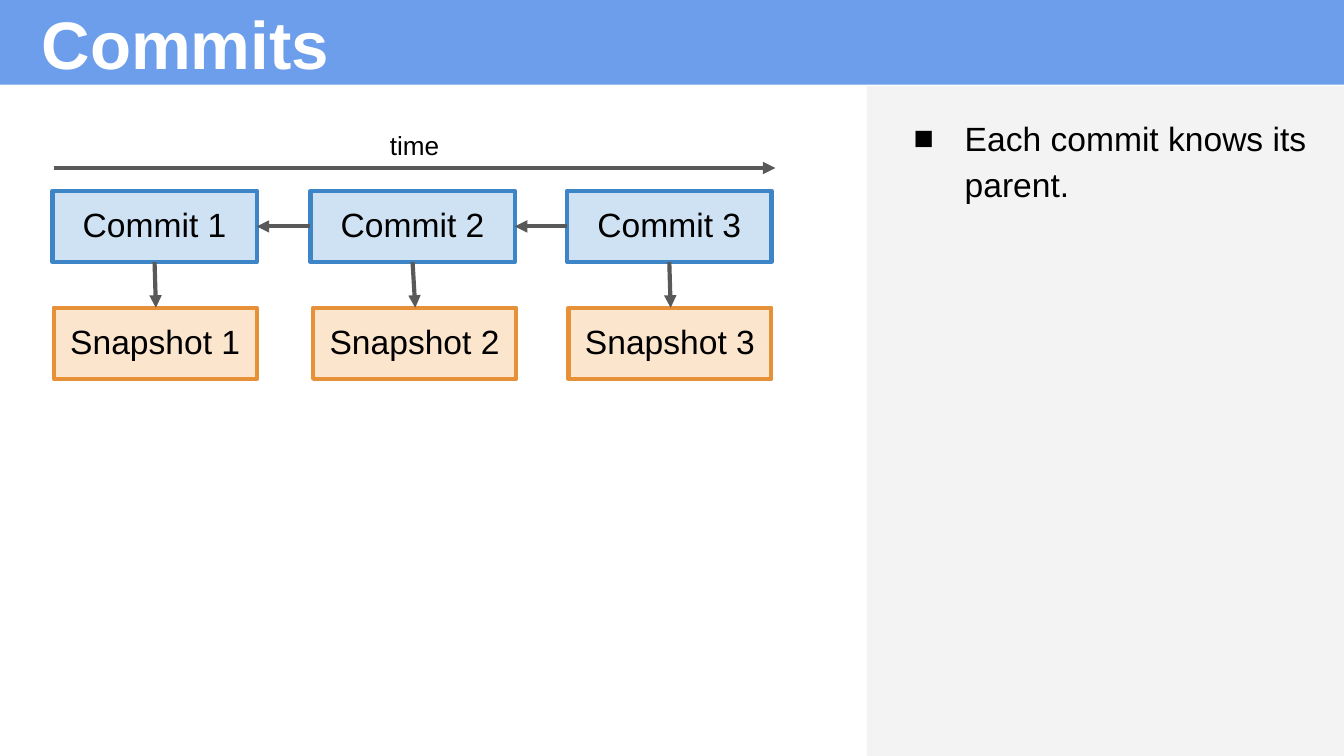
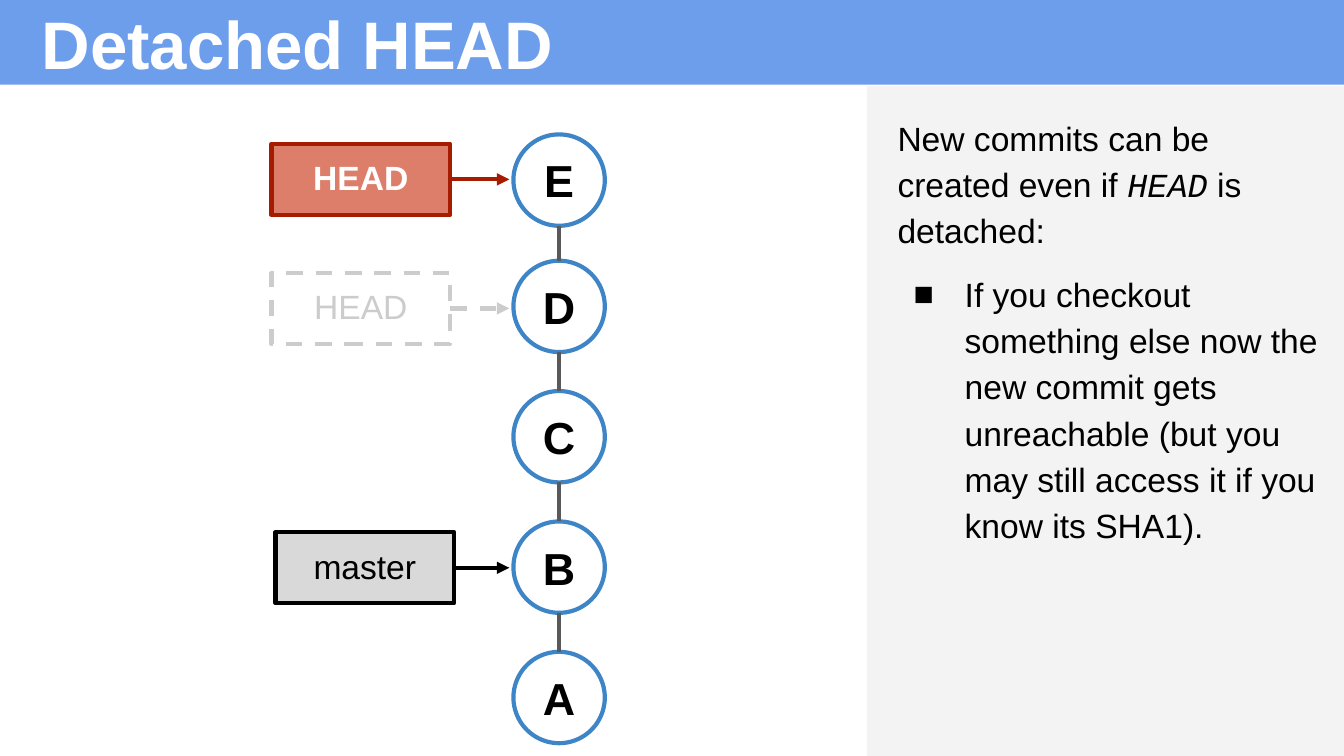
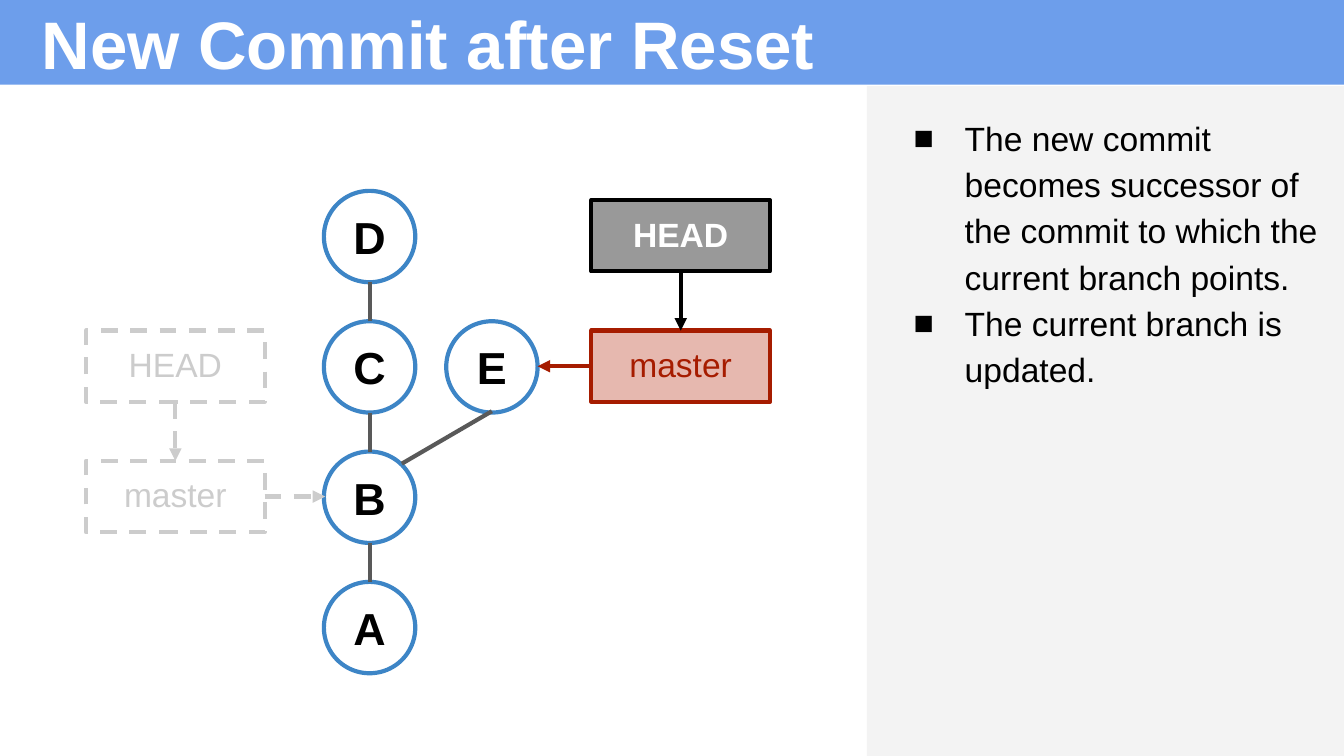
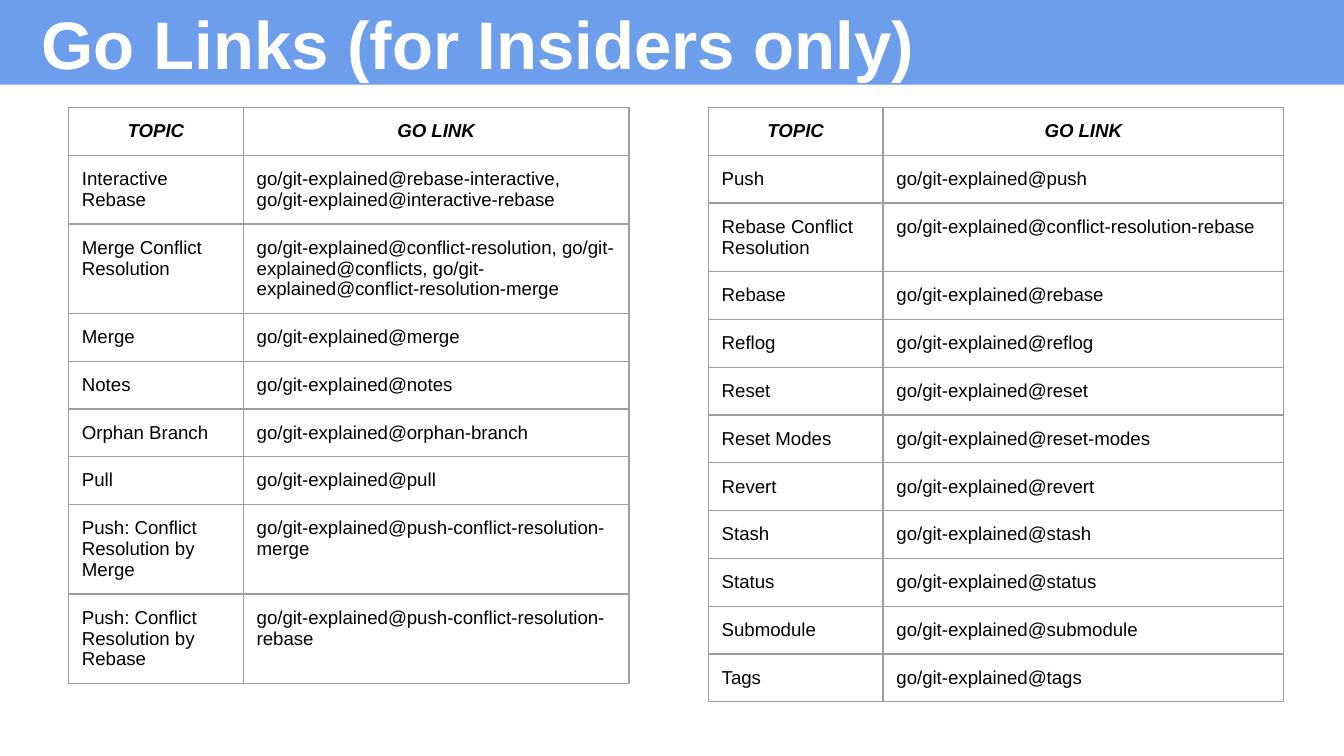
from lxml import etree
from pptx import Presentation
from pptx.dml.color import RGBColor
from pptx.enum import dml, shapes, text
from pptx.oxml import ns
from pptx.util import Inches, Pt

COLORS = {
    "band": "6D9EEB", "panel": "F3F3F3", "white": "FFFFFF", "black": "000000",
    "commit": "CFE2F3", "commit_edge": "3D85C6",
    "snapshot": "FCE5CD", "snapshot_edge": "E69138",
    "link": "595959", "ghost": "CCCCCC", "red": "A61C00",
    "red_fill": "DD7E6B", "pink": "E6B8AF", "gray": "999999",
    "light_gray": "D9D9D9", "grid": "9E9E9E",
}
# Looks of label boxes: fill, edge, text colour, bold, dashed
STYLES = {
    "commit": ("commit", "commit_edge", "black", False, False),
    "snapshot": ("snapshot", "snapshot_edge", "black", False, False),
    "branch": ("light_gray", "black", "black", False, False),
    "new_branch": ("pink", "red", "red", False, False),
    "head": ("gray", "black", "white", True, False),
    "new_head": ("red_fill", "red", "white", True, False),
    "ghost": (None, "ghost", "ghost", False, True),
}
FONT = "Arial"
CODE_FONT = "Courier New"
EDGE = 2.25
PAGE_WIDTH = 10
PAGE_HEIGHT = PAGE_WIDTH * 9 / 16
BOX_HEIGHT = 0.53
LABEL_WIDTH = 1.33
CIRCLE = 0.68
PITCH = 0.97

HEADINGS = ("TOPIC", "GO LINK")
LINK_PREFIX = "go/git-explained@"
LEFT_LINKS = [
    ("Interactive Rebase", "rebase-interactive", "interactive-rebase"),
    ("Merge Conflict Resolution", "conflict-resolution", "conflicts",
     "conflict-resolution-merge"),
    ("Merge", "merge"),
    ("Notes", "notes"),
    ("Orphan Branch", "orphan-branch"),
    ("Pull", "pull"),
    ("Push: Conflict Resolution by Merge", "push-conflict-resolution-merge"),
    ("Push: Conflict Resolution by Rebase", "push-conflict-resolution-rebase"),
]
RIGHT_LINKS = [
    ("Push", "push"),
    ("Rebase Conflict Resolution", "conflict-resolution-rebase"),
    ("Rebase", "rebase"),
    ("Reflog", "reflog"),
    ("Reset", "reset"),
    ("Reset Modes", "reset-modes"),
    ("Revert", "revert"),
    ("Stash", "stash"),
    ("Status", "status"),
    ("Submodule", "submodule"),
    ("Tags", "tags"),
]


def rgb(name):
    return RGBColor.from_string(COLORS[name])


def add_span(para, words, size, color="black", **formats):
    span = para.add_run()
    span.text = words
    span.font.color.rgb = rgb(color)
    values = {"name": FONT, "size": Pt(size), "bold": False, "italic": False}
    for key, value in {**values, **formats}.items():
        setattr(span.font, key, value)


def set_frame(frame, anchor):
    values = {"word_wrap": True, "auto_size": text.MSO_AUTO_SIZE.NONE,
              "vertical_anchor": anchor}
    for side in ("left", "top", "right", "bottom"):
        values[f"margin_{side}"] = Inches(0.1)
    for key, value in values.items():
        setattr(frame, key, value)
    return frame.paragraphs[0]


def add_figure(page, kind, place, fill=None, edge=None, dashed=False):
    figure = page.shapes.add_shape(kind, *map(Inches, place))
    figure.shadow.inherit = False
    if fill:
        figure.fill.solid()
        figure.fill.fore_color.rgb = rgb(fill)
    else:
        figure.fill.background()
    if edge:
        set_line(figure.line, edge, dashed)
    else:
        figure.line.fill.background()
    return figure


def set_line(line, color, dashed):
    line.color.rgb = rgb(color)
    line.width = Pt(EDGE)
    if dashed:
        line.dash_style = dml.MSO_LINE.DASH


def add_label(page, words, left, top, style, width=LABEL_WIDTH):
    fill, edge, color, bold, dashed = STYLES[style]
    place = (left, top, width, BOX_HEIGHT)
    label = add_figure(page, shapes.MSO_SHAPE.RECTANGLE, place, fill, edge, dashed)
    para = set_frame(label.text_frame, text.MSO_ANCHOR.TOP)
    para.alignment = text.PP_ALIGN.CENTER
    add_span(para, words, 18, color, bold=bold)


def add_commit(page, letter, left, top):
    place = (left, top, CIRCLE, CIRCLE)
    circle = add_figure(page, shapes.MSO_SHAPE.OVAL, place, edge="commit_edge")
    para = set_frame(circle.text_frame, text.MSO_ANCHOR.MIDDLE)
    para.alignment = text.PP_ALIGN.CENTER
    add_span(para, letter, 24, bold=True)


def add_link(page, start, end, color="link", arrow=True, dashed=False):
    link = page.shapes.add_connector(
        shapes.MSO_CONNECTOR.STRAIGHT, *map(Inches, (*start, *end)))
    set_line(link.line, color, dashed)
    if arrow:
        outline = link._element.spPr.find(ns.qn("a:ln"))
        etree.SubElement(outline, ns.qn("a:tailEnd"), type="triangle")
    etree.SubElement(link._element.spPr, ns.qn("a:effectLst"))


def add_history(page, letters, left, tops):
    """Stack commits from newest to oldest and join neighbours."""
    middle = left + CIRCLE / 2
    for letter, top in zip(letters, tops):
        add_commit(page, letter, left, top)
    for upper, lower in zip(tops, tops[1:]):
        add_link(page, (middle, lower), (middle, upper + CIRCLE), arrow=False)


def add_page(deck, title, title_width=7.14):
    page = deck.slides.add_slide(deck.slide_layouts[5])
    band_place = (0, 0, PAGE_WIDTH, 0.63)
    band = add_figure(page, shapes.MSO_SHAPE.RECTANGLE, band_place, "band")
    heading = page.shapes.title
    heading._element.addprevious(band._element)
    place = zip(("left", "top", "width", "height"), (0.21, -0.1, title_width, 0.83))
    for side, value in place:
        setattr(heading, side, Inches(value))
    para = set_frame(heading.text_frame, text.MSO_ANCHOR.MIDDLE)
    para.alignment = text.PP_ALIGN.LEFT
    add_span(para, title, 36, "white", bold=True)
    return page


def add_bullet(para):
    props = para._p.get_or_add_pPr()
    props.set("marL", str(Inches(0.5)))
    props.set("indent", str(Inches(-0.38)))
    color = etree.SubElement(props, ns.qn("a:buClr"))
    etree.SubElement(color, ns.qn("a:srgbClr"), val=COLORS["black"])
    etree.SubElement(props, ns.qn("a:buFont"), typeface=FONT)
    etree.SubElement(props, ns.qn("a:buChar"), char="■")


def add_side_panel(page, bullets, intro=(), height=4.05):
    """Gray panel; intro holds (words, formats) spans placed above the bullets."""
    add_figure(page, shapes.MSO_SHAPE.RECTANGLE, (6.45, 0.64, 3.55, 4.99), "panel")
    box = page.shapes.add_textbox(*map(Inches, (6.58, 0.73, 3.36, height)))
    para = set_frame(box.text_frame, text.MSO_ANCHOR.TOP)
    for words, formats in intro:
        add_span(para, words, 18, **formats)
    for index, words in enumerate(bullets):
        if intro or index:
            para = box.text_frame.add_paragraph()
        if intro and not index:
            para.space_before = Pt(9)
        add_bullet(para)
        add_span(para, words, 18)
    for para in box.text_frame.paragraphs:
        para.line_spacing = 1.15


def set_borders(cell):
    props = cell._tc.get_or_add_tcPr()
    for side in ("lnL", "lnR", "lnT", "lnB"):
        border = etree.SubElement(props, ns.qn(f"a:{side}"), w=str(Pt(0.75)))
        fill = etree.SubElement(border, ns.qn("a:solidFill"))
        etree.SubElement(fill, ns.qn("a:srgbClr"), val=COLORS["grid"])


def add_link_table(page, left, widths, links):
    rows = [HEADINGS]
    for topic, *names in links:
        rows.append((topic, ", ".join(LINK_PREFIX + name for name in names)))
    place = (left, 0.8, sum(widths), 0.28 * len(rows))
    table = page.shapes.add_table(len(rows), len(widths), *map(Inches, place)).table
    table.first_row = table.horz_banding = False
    for column, width in zip(table.columns, widths):
        column.width = Inches(width)
    for index, row in enumerate(rows):
        header = index == 0
        for cell, words in zip(table.rows[index].cells, row):
            set_borders(cell)
            cell.fill.background()
            for side in ("left", "top", "right", "bottom"):
                setattr(cell, f"margin_{side}", Inches(0.1))
            para = cell.text_frame.paragraphs[0]
            para.alignment = text.PP_ALIGN.CENTER if header else text.PP_ALIGN.LEFT
            add_span(para, words, 10, bold=header, italic=header)


def build_commits(deck):
    page = add_page(deck, "Commits")
    add_side_panel(page, ["Each commit knows its parent."], height=3.55)
    commit_top, snapshot_top, width = 1.42, 2.29, 1.52
    commit_lefts = (0.39, 2.31, 4.22)
    snapshot_lefts = (0.4, 2.33, 4.23)
    for number, (left, below) in enumerate(zip(commit_lefts, snapshot_lefts), 1):
        add_label(page, f"Commit {number}", left, commit_top, "commit", width)
        add_label(page, f"Snapshot {number}", below, snapshot_top, "snapshot", 1.51)
        add_link(page, (left + width / 2, commit_top + BOX_HEIGHT),
                 (below + width / 2, snapshot_top))
    middle = commit_top + BOX_HEIGHT / 2
    for parent, child in zip(commit_lefts, commit_lefts[1:]):
        add_link(page, (child, middle), (parent + width, middle))
    add_link(page, (0.4, 1.25), (5.77, 1.25))
    box = page.shapes.add_textbox(*map(Inches, (2.7, 0.86, 0.77, 0.39)))
    para = set_frame(box.text_frame, text.MSO_ANCHOR.TOP)
    para.alignment = text.PP_ALIGN.CENTER
    add_span(para, "time", 14)


def build_detached_head(deck):
    page = add_page(deck, "Detached HEAD")
    add_side_panel(
        page,
        ["If you checkout something else now the new commit gets unreachable "
         "(but you may still access it if you know its SHA1)."],
        intro=[("New commits can be created even if ", {}),
               ("HEAD", {"name": CODE_FONT, "italic": True}),
               (" is detached:", {})])
    add_history(page, "EDCBA", 3.82, [1] + [1.94 + PITCH * step for step in range(4)])
    pointers = [("HEAD", 2.02, 1.07, "new_head"), ("HEAD", 2.02, 2.03, "ghost"),
                ("master", 2.05, 3.96, "branch")]
    for name, left, top, style in pointers:
        middle = top + BOX_HEIGHT / 2
        add_label(page, name, left, top, style)
        add_link(page, (left + LABEL_WIDTH, middle), (3.79, middle),
                 STYLES[style][1], dashed=style == "ghost")


def build_new_commit(deck):
    page = add_page(deck, "New Commit after Reset")
    add_side_panel(page, [
        "The new commit becomes successor of the commit to which the current "
        "branch points.",
        "The current branch is updated."])
    add_history(page, "DCBA", 2.41, [1.42 + PITCH * step for step in range(4)])
    add_commit(page, "E", 3.32, 2.39)
    add_link(page, (2.99, 3.45), (3.66, 3.06), arrow=False)
    pointers = [(0.64, 2.46, "ghost", "ghost", 1.97, 2.42),
                (4.4, 1.49, "head", "new_branch", 4.4, 4)]
    for left, top, head_style, branch_style, start, end in pointers:
        dashed = head_style == "ghost"
        center = left + LABEL_WIDTH / 2
        branch_top = top + PITCH
        middle = branch_top + BOX_HEIGHT / 2
        add_label(page, "HEAD", left, top, head_style)
        add_label(page, "master", left, branch_top, branch_style)
        add_link(page, (center, top + BOX_HEIGHT), (center, branch_top),
                 STYLES[head_style][1], dashed=dashed)
        add_link(page, (start, middle), (end, middle),
                 STYLES[branch_style][1], dashed=dashed)


def build_go_links(deck):
    page = add_page(deck, "Go Links (for Insiders only)", 8.27)
    add_link_table(page, 0.51, (1.3, 2.87), LEFT_LINKS)
    add_link_table(page, 5.27, (1.3, 2.98), RIGHT_LINKS)


def main():
    deck = Presentation()
    deck.slide_width = Inches(PAGE_WIDTH)
    deck.slide_height = Inches(PAGE_HEIGHT)
    build_commits(deck)
    build_detached_head(deck)
    build_new_commit(deck)
    build_go_links(deck)
    deck.save("out.pptx")


if __name__ == "__main__":
    main()
